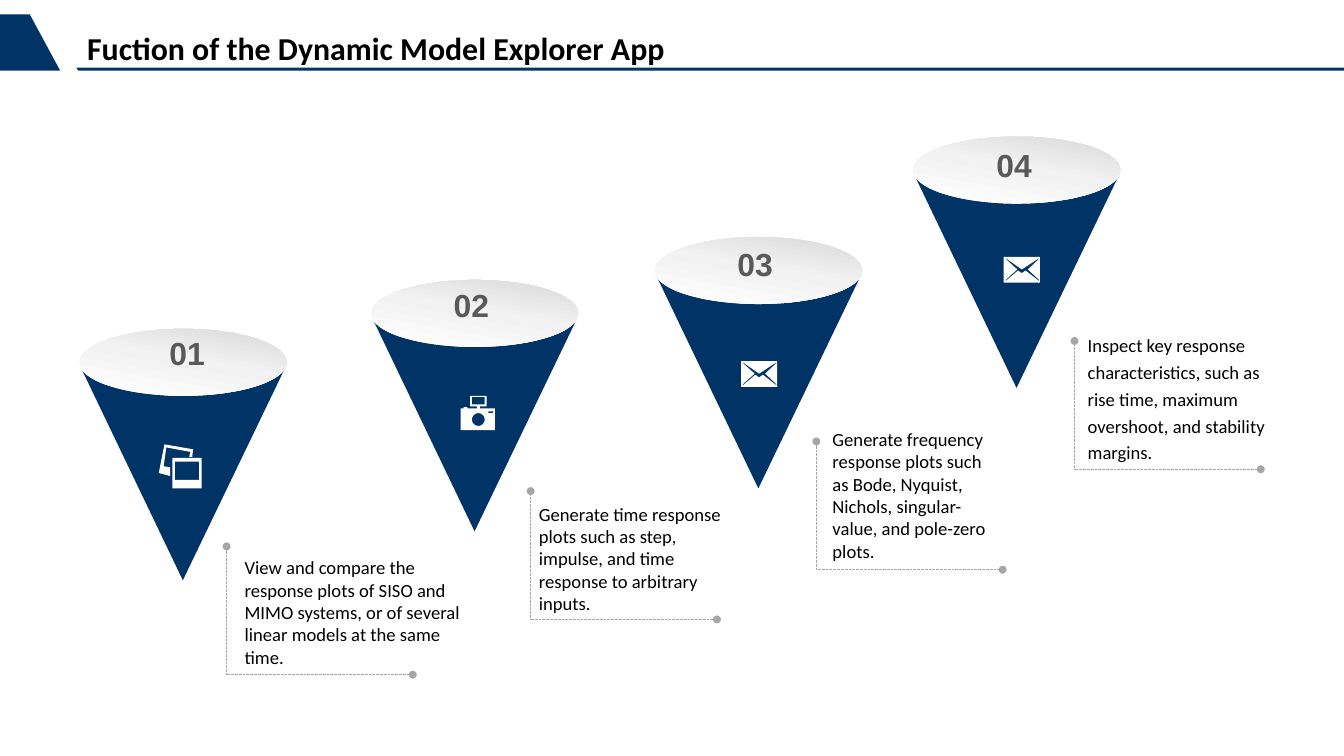
from copy import deepcopy
from math import cos, pi, sin

from lxml.etree import SubElement
from pptx import Presentation
from pptx.dml.color import RGBColor
from pptx.enum.dml import MSO_LINE
from pptx.enum.shapes import MSO_CONNECTOR, MSO_SHAPE
from pptx.enum.text import MSO_ANCHOR, PP_ALIGN
from pptx.oxml.ns import qn
from pptx.util import Cm, Pt

COLORS = {
    "navy": "003366",
    "white": "FFFFFF",
    "black": "000000",
    "number": "595959",
    "bracket": "A6A6A6",
}
LID_STOPS = [(0, "FFFFFF"), (0.53, "F2F2F2"), (1, "D9D9D9")]

TITLE = "Fuction of the Dynamic Model Explorer App"
STEPS = [
    {
        "number": "01", "lid": (2.11, 8.74), "number_at": (4.24, 8.53),
        "icon": "photos", "icon_at": (4.22, 11.81), "corner": (6.02, 17.93),
        "caption_box": (6.25, 14.66, 6.6, 3.25), "spacing": 1.0,
        "caption": "View and compare the response plots of SISO and MIMO systems, "
                   "or of several linear models at the same time.",
    },
    {
        "number": "02", "lid": (9.86, 7.44), "number_at": (11.79, 7.26),
        "icon": "camera", "icon_at": (12.24, 10.52), "corner": (14.1, 16.46),
        "caption_box": (14.07, 13.23, 5.41, 3.25), "spacing": 1.0,
        "caption": "Generate time response plots such as step, impulse, "
                   "and time response to arbitrary inputs.",
    },
    {
        "number": "03", "lid": (17.4, 6.3), "number_at": (19.33, 6.17),
        "icon": "envelope", "icon_at": (19.69, 9.6), "corner": (21.69, 15.14),
        "caption_box": (21.87, 11.25, 4.6, 3.84), "spacing": 1.0,
        "caption": "Generate frequency response plots such as Bode, Nyquist, "
                   "Nichols, singular-value, and pole-zero plots.",
    },
    {
        "number": "04", "lid": (24.26, 3.63), "number_at": (26.21, 3.53),
        "icon": "envelope", "icon_at": (26.67, 6.83), "corner": (28.55, 12.47),
        "caption_box": (28.65, 8.64, 5.59, 3.84), "spacing": 1.2,
        "caption": "Inspect key response characteristics, such as rise time, "
                   "maximum overshoot, and stability margins.",
    },
]

SLIDE_WIDTH, SLIDE_HEIGHT = 35.71, 20.09
LID_WIDTH, LID_HEIGHT = 5.51, 1.78
BRACKET_WIDTH, BRACKET_HEIGHT = 4.95, 3.41
CONE = [(0.04, 1.03), (0.24, 0.99), (5.31, 0.99), (5.47, 1.03), (2.75, 6.68)]
HEADER_RULE = [(2.03, 1.8), (SLIDE_WIDTH, 1.8), (SLIDE_WIDTH, 1.88), (2.08, 1.88)]
HEADER_TAB = [(0, 0.38), (0.79, 0.38), (1.6, 1.88), (0, 1.88)]


def rectangle(left, top, right, bottom):
    return [(left, top), (right, top), (right, bottom), (left, bottom)]


def circle(center_x, center_y, radius, sides=32):
    angles = [2 * pi * side / sides for side in range(sides)]
    return [(center_x + radius * cos(a), center_y + radius * sin(a)) for a in angles]


ICONS = {
    "photos": [
        rectangle(0.36, 0.36, 1.14, 1.17),
        rectangle(0.43, 0.46, 1.07, 0.94),
        [(0.15, 0), (0.91, 0.13), (0.89, 0.33), (0.81, 0.33), (0.84, 0.2),
         (0.2, 0.08), (0.13, 0.58), (0.3, 0.61), (0.3, 0.84), (0, 0.76)],
    ],
    "camera": [
        [(0.51, 0.33), (0.51, 0.28), (0.69, 0.28), (0.69, 0), (0.25, 0), (0.25, 0.28),
         (0.43, 0.28), (0.43, 0.33), (0.18, 0.33), (0.18, 0.3), (0.08, 0.3),
         (0.08, 0.33), (0, 0.33), (0, 0.91), (0.91, 0.91), (0.91, 0.33)],
        rectangle(0.3, 0.03, 0.64, 0.23),
        rectangle(0.74, 0.41, 0.86, 0.46),
        circle(0.47, 0.63, 0.17),
    ],
    "envelope": [
        rectangle(0, 0, 0.96, 0.68),
        [(0.94, 0.05), (0.64, 0.33), (0.94, 0.61), (0.94, 0.64), (0.58, 0.36),
         (0.48, 0.43), (0.38, 0.36), (0.05, 0.64), (0.05, 0.61), (0.36, 0.33),
         (0.05, 0.05), (0.05, 0.03), (0.48, 0.33), (0.94, 0.03)],
    ],
}


def rgb(name):
    return RGBColor.from_string(COLORS[name])


def add_outline(slide, contours, color, left=0, top=0):
    placed = [[(Cm(left + x), Cm(top + y)) for x, y in contour] for contour in contours]
    builder = slide.shapes.build_freeform(*placed[0][0])
    builder.add_line_segments(placed[0][1:], close=True)
    for contour in placed[1:]:
        builder.move_to(*contour[0])
        builder.add_line_segments(contour[1:], close=True)
    shape = builder.convert_to_shape()
    shape.shadow.inherit = False
    shape.fill.solid()
    shape.fill.fore_color.rgb = rgb(color)
    shape.line.fill.background()


def add_lid(slide, left, top):
    lid = slide.shapes.add_shape(
        MSO_SHAPE.OVAL, Cm(left), Cm(top), Cm(LID_WIDTH), Cm(LID_HEIGHT))
    lid.shadow.inherit = False
    lid.line.fill.background()
    lid.fill.gradient()
    lid.fill.gradient_angle = 80
    stop_list = lid._element.spPr.find(qn("a:gradFill")).find(qn("a:gsLst"))
    stop_list.append(deepcopy(stop_list[0]))
    for stop, (position, color) in zip(lid.fill.gradient_stops, LID_STOPS):
        stop.position = position
        stop.color.rgb = RGBColor.from_string(color)


def add_bracket(slide, x, y):
    for end_x, end_y in [(x + BRACKET_WIDTH, y), (x, y - BRACKET_HEIGHT)]:
        connector = slide.shapes.add_connector(
            MSO_CONNECTOR.STRAIGHT, Cm(x), Cm(y), Cm(end_x), Cm(end_y))
        connector.line.color.rgb = rgb("bracket")
        connector.line.width = Pt(0.5)
        connector.line.dash_style = MSO_LINE.ROUND_DOT
        SubElement(connector.line._get_or_add_ln(), qn("a:tailEnd"), type="oval")
        SubElement(connector._element.spPr, qn("a:effectLst"))


def write(shape, text, size, color, font, bold=False, wrap=True,
          alignment=PP_ALIGN.LEFT, spacing=1.0):
    frame = shape.text_frame
    frame.text = text
    frame.word_wrap = wrap
    frame.vertical_anchor = MSO_ANCHOR.TOP
    paragraph = frame.paragraphs[0]
    paragraph.alignment = alignment
    paragraph.line_spacing = spacing
    paragraph.space_before = Pt(0)
    run_font = paragraph.runs[0].font
    run_font.name, run_font.size, run_font.bold = font, Pt(size), bold
    run_font.color.rgb = rgb(color)


def add_step(slide, step):
    add_outline(slide, [CONE], "navy", *step["lid"])
    add_lid(slide, *step["lid"])
    add_outline(slide, ICONS[step["icon"]], "white", *step["icon_at"])
    add_bracket(slide, *step["corner"])
    left, top = step["number_at"]
    number = slide.shapes.add_textbox(Cm(left), Cm(top), Cm(1.47), Cm(1.4))
    write(number, step["number"], 24, "number", "Arial", bold=True, wrap=False,
          alignment=PP_ALIGN.CENTER, spacing=1.2)
    caption = slide.shapes.add_textbox(*[Cm(length) for length in step["caption_box"]])
    write(caption, step["caption"], 14, "black", "Calibri", spacing=step["spacing"])


def main():
    presentation = Presentation()
    presentation.slide_width = Cm(SLIDE_WIDTH)
    presentation.slide_height = Cm(SLIDE_HEIGHT)
    slide = presentation.slides.add_slide(presentation.slide_layouts[5])
    add_outline(slide, [HEADER_RULE], "navy")
    add_outline(slide, [HEADER_TAB], "navy")
    title = slide.shapes.title
    title.left, title.top, title.width, title.height = Cm(2.06), Cm(0.64), Cm(19), Cm(1.28)
    write(title, TITLE, 24, "black", "Calibri", bold=True)
    for step in STEPS:
        add_step(slide, step)
    presentation.save("out.pptx")


if __name__ == "__main__":
    main()
